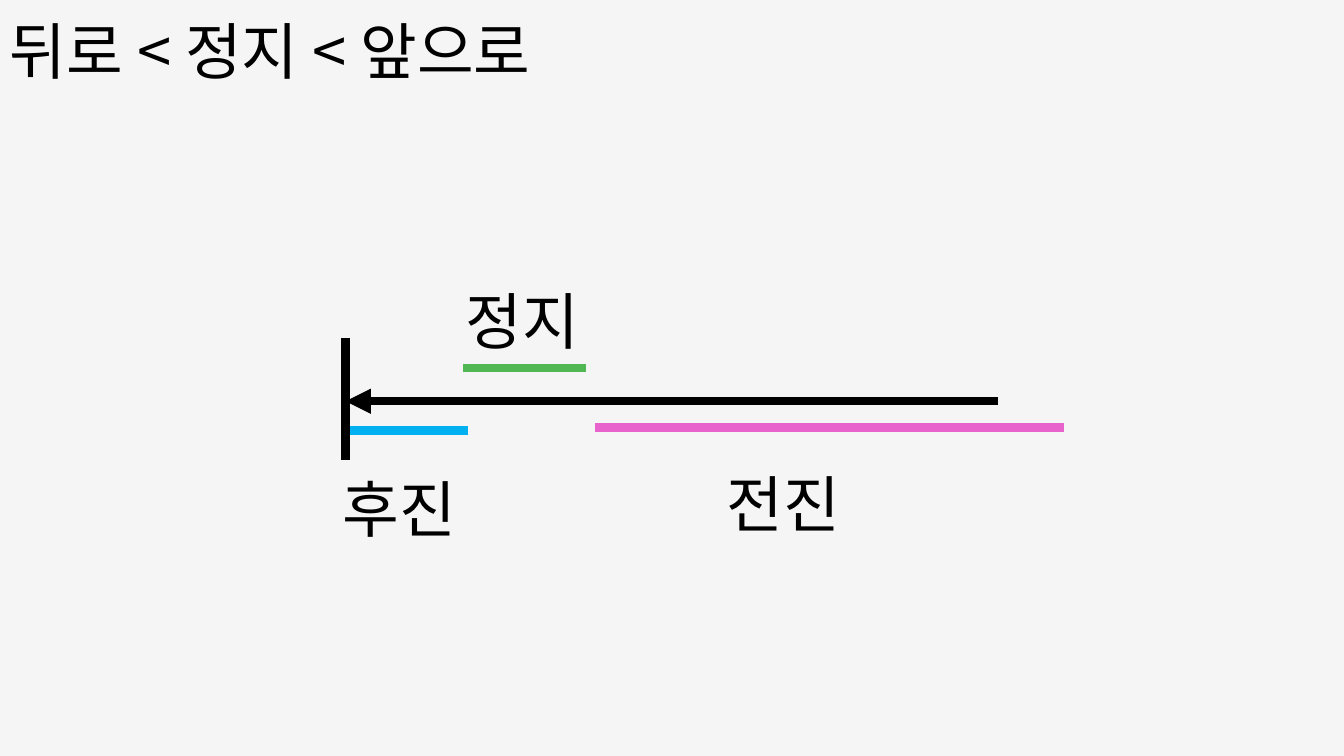
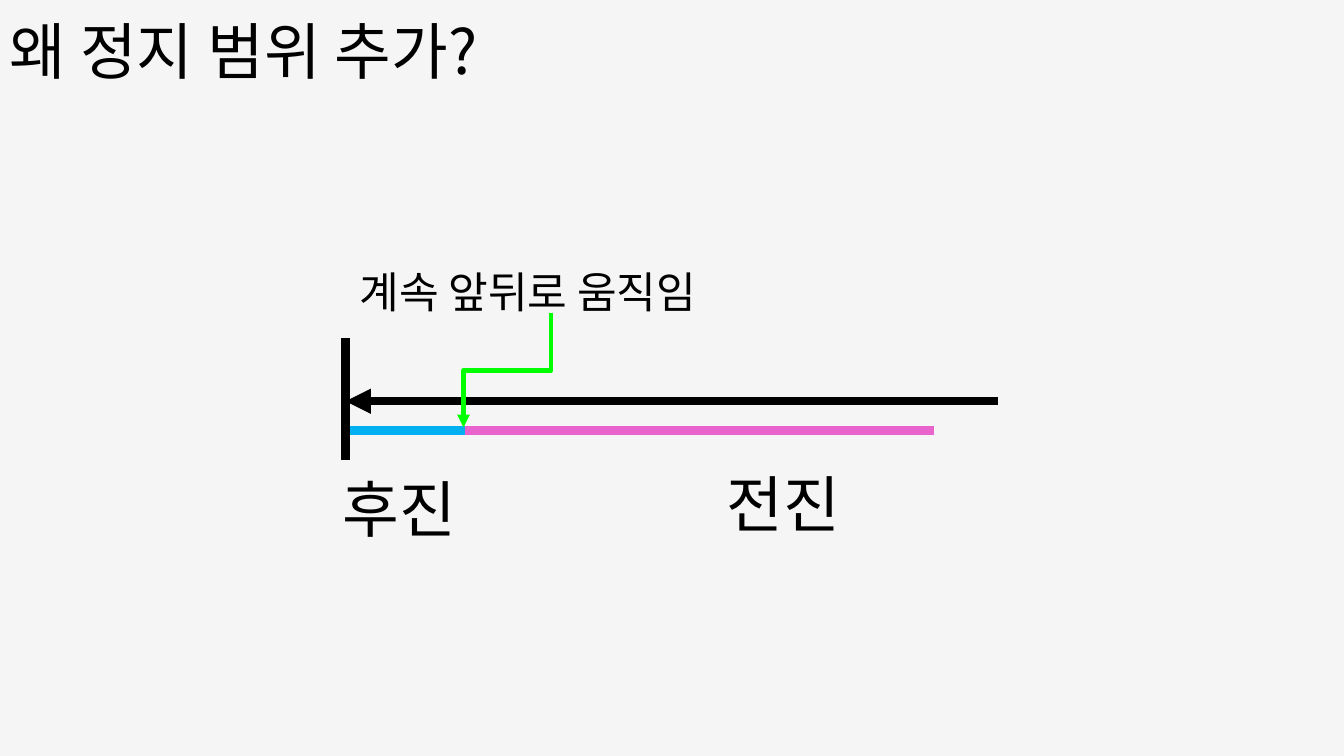
import pptx
import pptx.enum.shapes
import pptx.enum.text
import pptx.util
from dataclasses import dataclass
from lxml import etree
from pptx.dml.color import RGBColor
from pptx.oxml.ns import qn
from pptx.util import Cm


@dataclass(frozen=True)
class Theme:
    font: str = "Noto Sans CJK KR"
    background: str = "F5F5F5"
    ink: str = "000000"
    reverse: str = "00B0F0"
    stop: str = "51B753"
    forward: str = "E963CC"
    pointer: str = "00FF00"
    large: float = 44
    note: float = 30.8
    thick: float = 6
    thin: float = 3


T = Theme()
STRAIGHT = pptx.enum.shapes.MSO_CONNECTOR.STRAIGHT
ELBOW = pptx.enum.shapes.MSO_CONNECTOR.ELBOW

# Lengths in centimetres; boxes are left, top, width, height
TITLE_BOX = (0, -0.46, 29.21, 3.68)
LABEL_SIZE = (3.81, 2.16)
ORIGIN_X, AXIS_END, AXIS_Y = 8.71, 25.15, 10.11
WALL_TOP, WALL_BOTTOM = 8.51, 11.58
REVERSE_RANGE = (8.81, 11.79, 10.85)
SHARED_LABELS = [("후진", 8.38, 11.84), ("전진", 18.06, 11.71)]

# Ranges are start, end, height on the slide, colour
SLIDES = [
    {
        "title": "뒤로 < 정지 < 앞으로",
        "ranges": [(11.68, 14.78, 9.27, T.stop), (14.99, 26.82, 10.77, T.forward)],
        "labels": [("정지", 11.48, 7.09)],
    },
    {
        "title": "왜 정지 범위 추가?",
        "ranges": [(11.71, 23.55, 10.85, T.forward)],
        "note": ("계속 앞뒤로 움직임", (8.81, 6.43, 10.36, 2.16)),
        "pointer": (11.35, 8.23, 14.22, 10.44),
    },
]


def add_text(s, text, box, size=T.large, color=T.ink, spacing=0.9):
    tf = s.shapes.add_textbox(*map(Cm, box)).text_frame
    tf.word_wrap = True
    tf.vertical_anchor = pptx.enum.text.MSO_ANCHOR.MIDDLE
    p = tf.paragraphs[0]
    p.line_spacing = spacing
    r = p.add_run()
    r.text = text
    r.font.size = pptx.util.Pt(size)
    r.font.name = T.font
    r.font.color.rgb = RGBColor.from_string(color)
    etree.SubElement(r.font._element, qn("a:ea"), typeface=T.font)


def add_line(s, ends, color=T.ink, width=T.thick, kind=STRAIGHT, arrow=False, turn=0):
    """Draw a connector; turn rotates it clockwise in degrees."""
    c = s.shapes.add_connector(kind, *map(Cm, ends))
    c.line.color.rgb = RGBColor.from_string(color)
    c.line.width = pptx.util.Pt(width)
    sp_pr = c._element.spPr
    if arrow:
        etree.SubElement(sp_pr.find(qn("a:ln")), qn("a:tailEnd"), type="triangle")
    if turn:
        sp_pr.find(qn("a:xfrm")).set("rot", str(turn * 60000))
    etree.SubElement(sp_pr, qn("a:effectLst"))


def add_slide(prs, content):
    s = prs.slides.add_slide(prs.slide_layouts[6])
    s.background.fill.solid()
    s.background.fill.fore_color.rgb = RGBColor.from_string(T.background)
    add_text(s, content["title"], TITLE_BOX)
    add_line(s, (AXIS_END, AXIS_Y, ORIGIN_X, AXIS_Y), arrow=True)
    add_line(s, (ORIGIN_X, WALL_BOTTOM, ORIGIN_X, WALL_TOP))
    for start, end, y, color in [(*REVERSE_RANGE, T.reverse)] + content["ranges"]:
        add_line(s, (start, y, end, y), color)
    for text, left, top in SHARED_LABELS + content.get("labels", []):
        add_text(s, text, (left, top, *LABEL_SIZE))
    if "note" in content:
        add_text(s, *content["note"], size=T.note, spacing=0.7)
    if "pointer" in content:
        add_line(s, content["pointer"], T.pointer, T.thin, ELBOW, arrow=True, turn=90)


def main():
    prs = pptx.Presentation()
    prs.slide_width, prs.slide_height = Cm(33.87), Cm(19.05)
    for content in SLIDES:
        add_slide(prs, content)
    prs.save("out.pptx")


if __name__ == "__main__":
    main()
